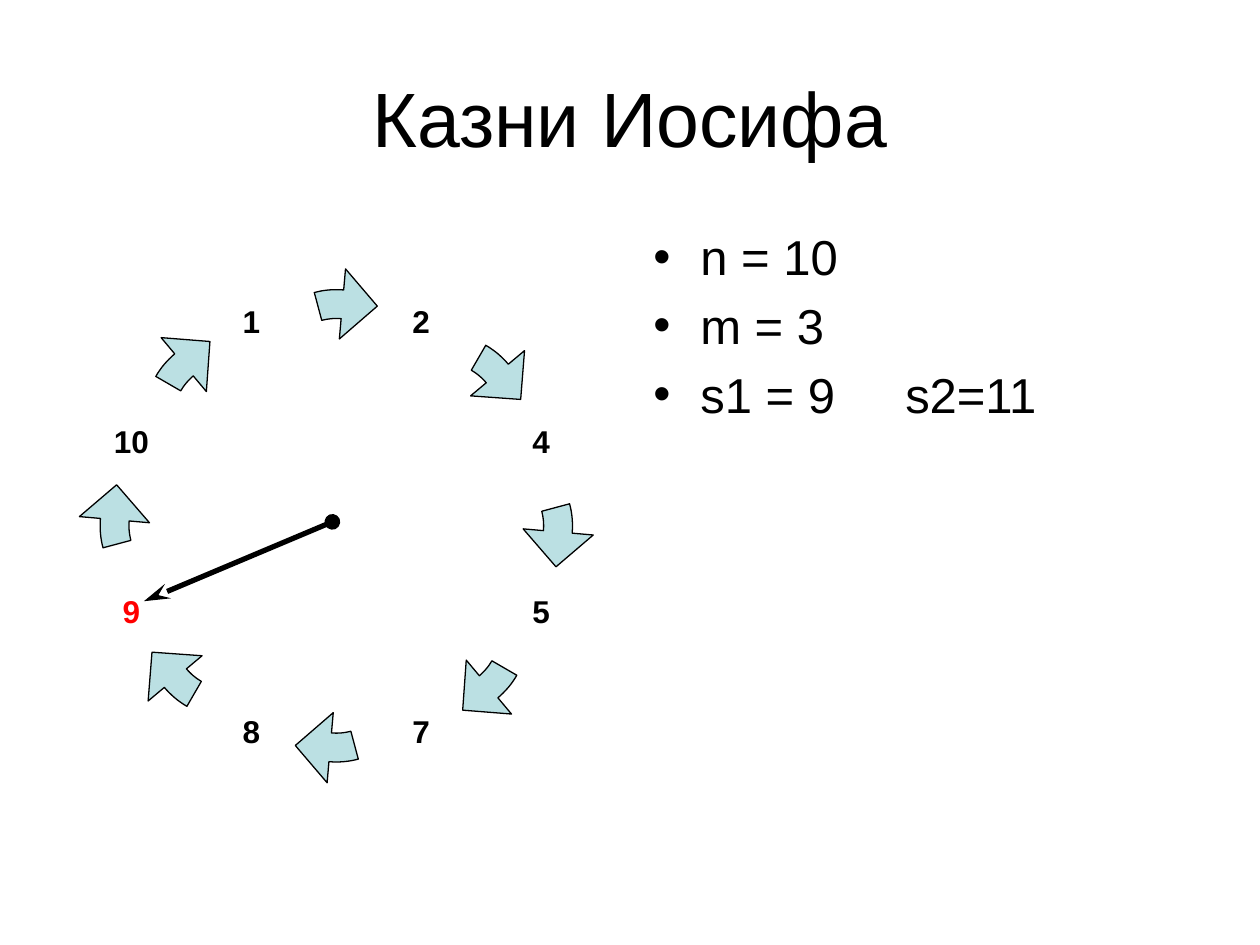
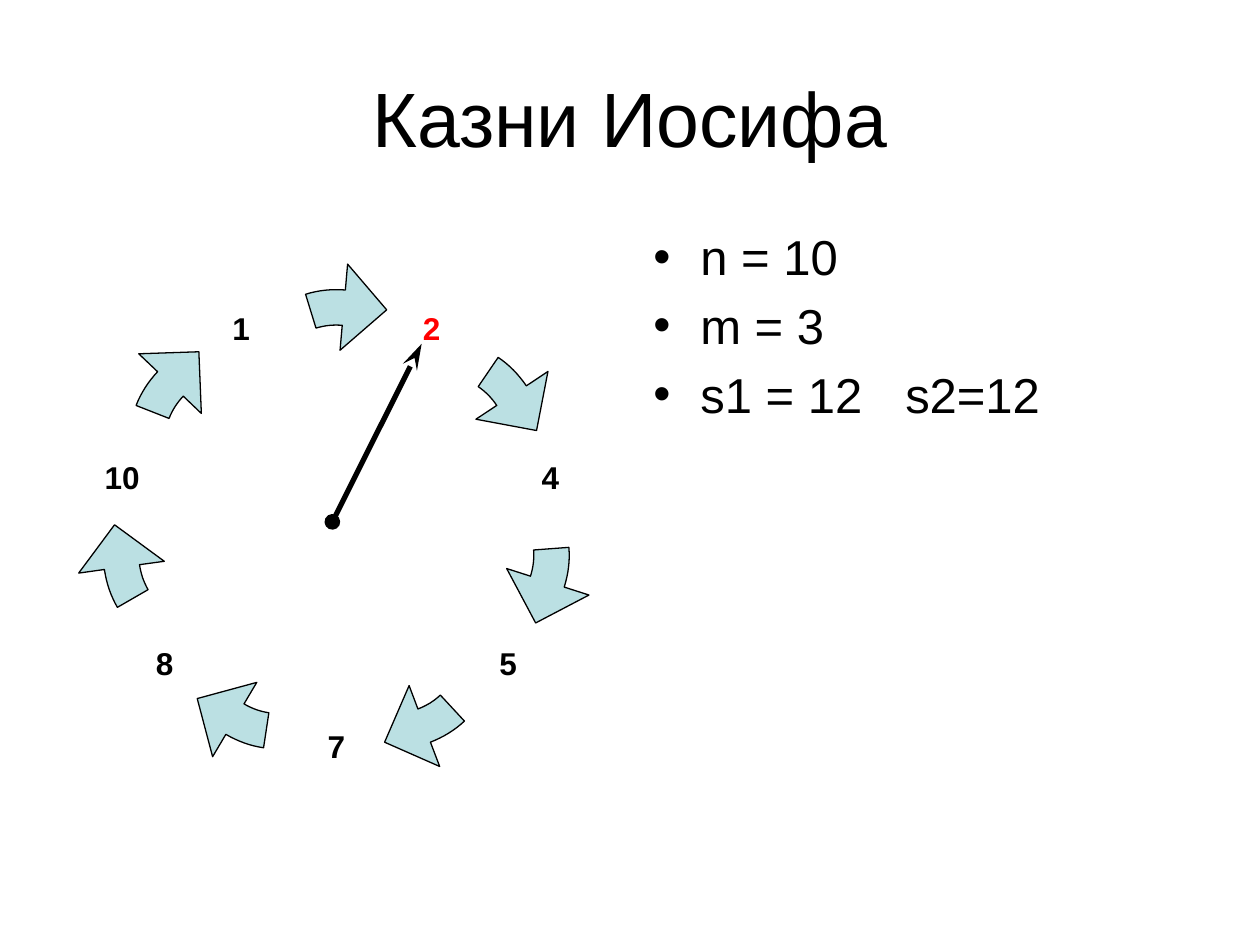
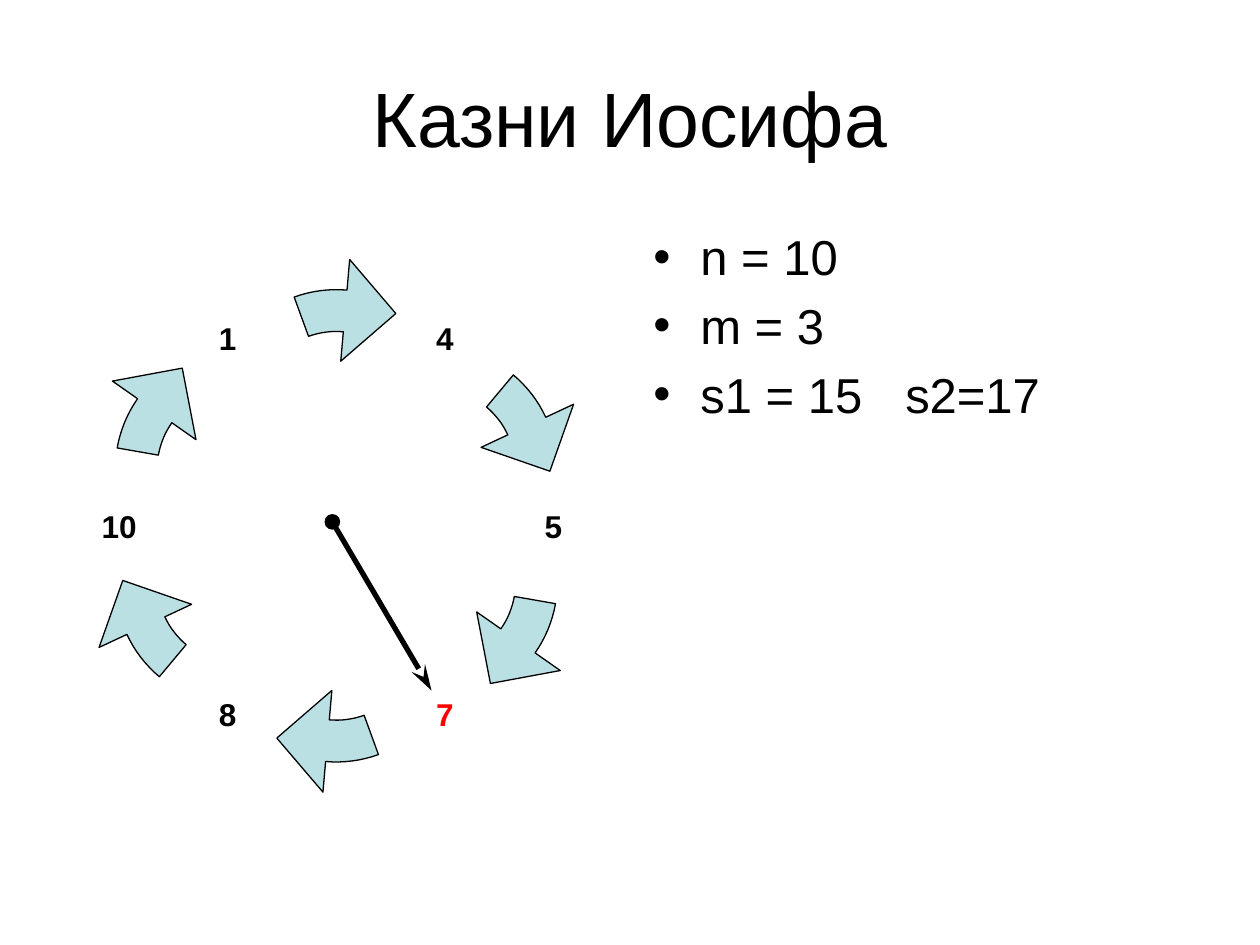
import math

import pptx
import pptx.dml.color
import pptx.enum.shapes
import pptx.enum.text
import pptx.oxml
import pptx.oxml.ns
import pptx.util

Cm = pptx.util.Cm
Pt = pptx.util.Pt

FONT = "Arial"
BLACK = "000000"
RED = "FF0000"
PALE_BLUE = "BBE0E3"
TITLE = "Казни Иосифа"

# All lengths are in centimetres, angles in degrees clockwise from the top.
RING_CENTRE = (6.78, 10.6)
RING_RADIUS = 4.76
HAND_START = (6.7, 10.52)
HEAD_BASE_ANGLE = 5
HEAD_TIP_ANGLE = 31

ROUNDS = [
    {"survivors": [2, 4, 5, 7, 8, 9, 10, 1], "current": 9, "sums": "s1 = 9\ts2=11",
     "arrow_radius": 1.71, "label_size": 1.48, "hand_end": (2.9, 12.12)},
    {"survivors": [2, 4, 5, 7, 8, 10, 1], "current": 2, "sums": "s1 = 12\ts2=12",
     "arrow_radius": 2.1, "label_size": 1.65, "hand_end": (8.5, 6.93)},
    {"survivors": [4, 5, 7, 8, 10, 1], "current": 7, "sums": "s1 = 15\ts2=17",
     "arrow_radius": 2.48, "label_size": 1.85, "hand_end": (8.7, 13.92)},
]


def color(hex_string):
    return pptx.dml.color.RGBColor.from_string(hex_string)


def drawing_element(tag, content="", **attributes):
    """Make one element of the a: namespace."""
    pairs = " ".join(f'{name}="{value}"' for name, value in attributes.items())
    return pptx.oxml.parse_xml(
        f"<a:{tag} {pptx.oxml.ns.nsdecls('a')} {pairs}>{content}</a:{tag}>")


def format_runs(paragraph, size, hex_color=BLACK, bold=False):
    for run in paragraph.runs:
        run.font.name = FONT
        run.font.size = Pt(size)
        run.font.bold = bold
        run.font.color.rgb = color(hex_color)


def polar(centre, radius, angle):
    radians = math.radians(angle)
    return (centre[0] + radius * math.sin(radians),
            centre[1] - radius * math.cos(radians))


def add_title(slide):
    title = slide.shapes.title
    title.left, title.top, title.width, title.height = (
        Cm(1.27), Cm(0.76), Cm(22.86), Cm(3.18))
    title.text_frame.text = TITLE
    title.text_frame.vertical_anchor = pptx.enum.text.MSO_ANCHOR.MIDDLE
    paragraph = title.text_frame.paragraphs[0]
    paragraph.alignment = pptx.enum.text.PP_ALIGN.CENTER
    format_runs(paragraph, 44)


def add_bullets(slide, lines):
    box = slide.shapes.add_textbox(Cm(12.92), Cm(4.45), Cm(11.23), Cm(12.57))
    box.text_frame.word_wrap = True
    box.text_frame.text = "\n".join(lines)
    for paragraph in box.text_frame.paragraphs:
        format_runs(paragraph, 28)
        properties = paragraph._p.get_or_add_pPr()
        properties.set("marL", str(Cm(0.95)))
        properties.set("indent", str(-Cm(0.95)))
        properties.append(drawing_element("spcBef", '<a:spcPct val="20000"/>'))
        properties.append(drawing_element("buFont", typeface=FONT))
        properties.append(drawing_element("buChar", char="•"))
        properties.append(drawing_element(
            "tabLst", f'<a:tab pos="{Cm(5.08)}" algn="l"/>'))


def set_square_frame(shape, centre, radius):
    """Frame a freeform by a square around centre, leaving its outline in place."""
    left, top, side = Cm(centre[0] - radius), Cm(centre[1] - radius), Cm(2 * radius)
    shift_x, shift_y = shape.left - left, shape.top - top
    for point in shape._element.iter(pptx.oxml.ns.qn("a:pt")):
        point.set("x", str(int(point.get("x")) + shift_x))
        point.set("y", str(int(point.get("y")) + shift_y))
    for outline in shape._element.iter(pptx.oxml.ns.qn("a:path")):
        outline.set("w", str(side))
        outline.set("h", str(side))
    shape.left, shape.top, shape.width, shape.height = left, top, side, side


def add_curved_arrow(shapes, centre, radius, tail_angle, turn):
    """Draw a clockwise arc arrow around centre, turned by the given angle."""
    steps = 8
    arc = [tail_angle + (HEAD_BASE_ANGLE - tail_angle) * step / steps
           for step in range(steps + 1)]
    outline = [(1, angle) for angle in arc]
    outline += [(1.25, HEAD_BASE_ANGLE), (0.94, HEAD_TIP_ANGLE),
                (0.42, HEAD_BASE_ANGLE)]
    outline += [(0.66, angle) for angle in reversed(arc)]
    points = []
    for share, angle in outline:
        x, y = polar(centre, share * radius, angle)
        points.append((Cm(x), Cm(y)))
    builder = shapes.build_freeform(*points[0])
    builder.add_line_segments(points[1:], close=True)
    arrow = builder.convert_to_shape()
    set_square_frame(arrow, centre, radius)
    arrow.rotation = turn
    arrow.shadow.inherit = False
    arrow.fill.solid()
    arrow.fill.fore_color.rgb = color(PALE_BLUE)
    arrow.line.color.rgb = color(BLACK)
    arrow.line.width = Pt(0.75)


def add_label(shapes, centre, size, text, hex_color):
    box = shapes.add_textbox(Cm(centre[0] - size / 2), Cm(centre[1] - size / 2),
                             Cm(size), Cm(size))
    frame = box.text_frame
    frame.margin_left = frame.margin_right = 0
    frame.margin_top = frame.margin_bottom = 0
    frame.word_wrap = False
    frame.vertical_anchor = pptx.enum.text.MSO_ANCHOR.MIDDLE
    frame.text = text
    paragraph = frame.paragraphs[0]
    paragraph.alignment = pptx.enum.text.PP_ALIGN.CENTER
    format_runs(paragraph, 18, hex_color, bold=True)


def add_ring(slide, survivors, current, arrow_radius, label_size):
    shapes = slide.shapes.add_group_shape().shapes
    count = len(survivors)
    step = 360 / count
    for index in range(count):
        centre = polar(RING_CENTRE, RING_RADIUS - arrow_radius, index * step)
        add_curved_arrow(shapes, centre, arrow_radius, -120 / count, index * step)
    label_radius = 4.84 - label_size / 4
    for index, number in enumerate(survivors):
        centre = polar(RING_CENTRE, label_radius, (index + 0.5) * step)
        add_label(shapes, centre, label_size, str(number),
                  RED if number == current else BLACK)


def add_hand(slide, end):
    hand = slide.shapes.add_connector(
        pptx.enum.shapes.MSO_CONNECTOR.STRAIGHT,
        *(Cm(value) for value in HAND_START + end))
    hand.line.color.rgb = color(BLACK)
    hand.line.width = Pt(3)
    line = hand.line._get_or_add_ln()
    line.append(drawing_element("headEnd", type="oval"))
    line.append(drawing_element("tailEnd", type="stealth", w="med", len="lg"))
    hand._element.spPr.append(drawing_element("effectLst"))


def main():
    presentation = pptx.Presentation()
    presentation.slide_width = Cm(25.4)
    presentation.slide_height = Cm(19.05)
    title_only = presentation.slide_layouts[5]
    for state in ROUNDS:
        slide = presentation.slides.add_slide(title_only)
        add_title(slide)
        add_bullets(slide, ["n = 10", "m = 3", state["sums"]])
        add_ring(slide, state["survivors"], state["current"],
                 state["arrow_radius"], state["label_size"])
        add_hand(slide, state["hand_end"])
    presentation.save("out.pptx")


if __name__ == "__main__":
    main()
